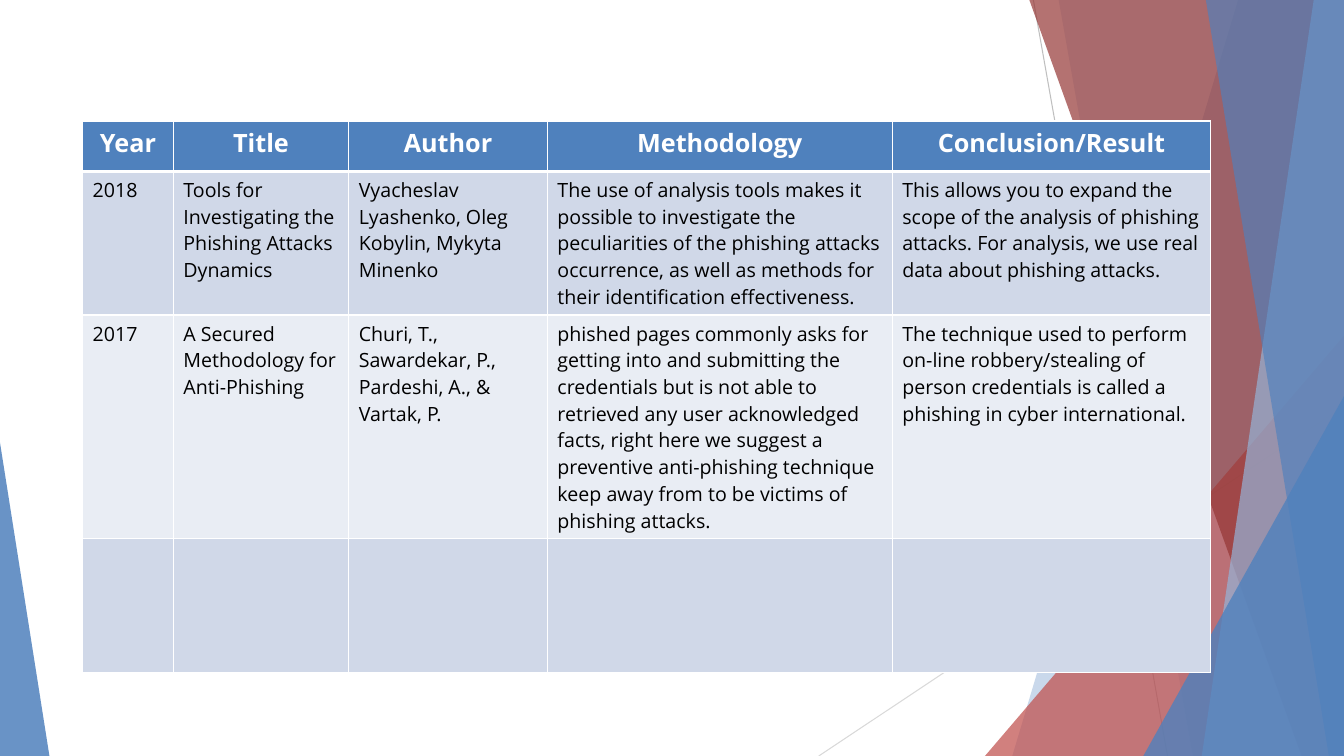
from lxml.etree import SubElement
from pptx import Presentation
from pptx.dml.color import RGBColor
from pptx.enum.shapes import MSO_CONNECTOR as Connector, MSO_SHAPE as Preset
from pptx.enum.text import PP_ALIGN as Align
from pptx.oxml.ns import qn
from pptx.util import Inches, Pt

WIDTH, HEIGHT = Inches(13.33), Inches(7.5)
FONT = "Open Sans"
COLORS = {
    "white": "FFFFFF", "black": "000000", "blue": "4F81BD", "light_blue": "95B3D7",
    "red": "C0504D", "dark_red": "953735", "gray": "BFBFBF", "pale_gray": "D9D9D9",
    "odd_row": "D0D8E8", "even_row": "E9EDF4",
}

# Column widths and row heights, in percent of the slide
COLUMNS = [6.75, 13.05, 14.78, 25.66, 23.71]
ROWS = [6.67, 18.93, 29.6, 17.73]
PAPERS = [
    ["Year", "Title", "Author", "Methodology", "Conclusion/Result"],
    ["2018",
     "Tools for Investigating the Phishing Attacks Dynamics",
     "Vyacheslav Lyashenko, Oleg Kobylin, Mykyta Minenko",
     "The use of analysis tools makes it possible to investigate the peculiarities "
     "of the phishing attacks occurrence, as well as methods for their "
     "identification effectiveness.\u00a0",
     "This allows you to expand the scope of the analysis of phishing attacks. "
     "For analysis, we use real data about phishing attacks."],
    ["2017",
     "A Secured Methodology for Anti-Phishing",
     "Churi, T., Sawardekar, P., Pardeshi, A., & Vartak, P.",
     "phished pages commonly asks for getting into and submitting the credentials "
     "but is not able to retrieved any user acknowledged facts, right here we "
     "suggest a preventive anti-phishing technique keep away from to be victims "
     "of phishing attacks.",
     "The technique used to perform on-line robbery/stealing of person credentials "
     "is called a phishing in cyber international."],
    [""] * 5,
]


def across(percent):
    """Length as a percentage of the slide width."""
    return round(WIDTH * percent / 100)


def down(percent):
    """Length as a percentage of the slide height."""
    return round(HEIGHT * percent / 100)


def color(name):
    """Named colour as an RGBColor."""
    return RGBColor.from_string(COLORS[name])


def add_line(slide, start, end, color_name):
    """Thin straight line between two points given in percent."""
    line = slide.shapes.add_connector(
        Connector.STRAIGHT, across(start[0]), down(start[1]), across(end[0]), down(end[1]))
    line.line.color.rgb = color(color_name)
    line.line.width = Pt(0.75)
    SubElement(line._element.spPr, qn("a:effectLst"))


def paint(shape, color_name, opacity):
    """Translucent fill without outline or shadow."""
    shape.shadow.inherit = False
    shape.line.fill.background()
    shape.fill.solid()
    shape.fill.fore_color.rgb = color(color_name)
    fill_color = shape._element.spPr.find(qn("a:solidFill"))[0]
    SubElement(fill_color, qn("a:alpha"), val=str(opacity * 1000))


def add_band(slide, top_left, bottom_left, color_name, opacity):
    """Full-height band from a slanted left edge to the slide's right edge."""
    outline = slide.shapes.build_freeform(across(top_left), 0)
    outline.add_line_segments(
        [(WIDTH, 0), (WIDTH, HEIGHT), (across(bottom_left), HEIGHT)], close=True)
    paint(outline.convert_to_shape(), color_name, opacity)


def add_corner(slide, left, top, width, apex, color_name, opacity):
    """Right triangle standing on the bottom edge of the slide."""
    triangle = slide.shapes.add_shape(
        Preset.ISOSCELES_TRIANGLE, across(left), down(top), across(width), down(100 - top))
    triangle.adjustments[0] = apex
    paint(triangle, color_name, opacity)


def add_backdrop(slide):
    """Lines, slanted bands and corner triangles behind the table."""
    add_line(slide, (76.89, 0), (86.87, 100), "gray")
    add_line(slide, (100, 53.73), (60.92, 100), "pale_gray")
    add_band(slide, 92.12, 75.32, "blue", 30)
    add_band(slide, 78.77, 88.75, "blue", 20)
    add_corner(slide, 73.29, 44.4, 26.71, 1, "red", 72)
    add_band(slide, 76.59, 96.85, "dark_red", 70)
    add_band(slide, 97.75, 89.42, "light_blue", 70)
    add_band(slide, 89.72, 98.87, "blue", 65)
    add_corner(slide, 85.07, 52.4, 14.93, 1, "blue", 80)
    add_corner(slide, 0, 58.53, 3.68, 0, "blue", 85)


def set_borders(cell, top, bottom):
    """White borders, one point wide at the sides."""
    properties = cell._tc.get_or_add_tcPr()
    for side, points in (("L", 1), ("R", 1), ("T", top), ("B", bottom)):
        border = SubElement(properties, qn(f"a:ln{side}"), w=str(Pt(points)))
        fill = SubElement(border, qn("a:solidFill"))
        SubElement(fill, qn("a:srgbClr"), val=COLORS["white"])


def fill_cell(cell, text, row):
    """Borders, fill and text of one cell; row 0 is the header."""
    header = row == 0
    set_borders(cell, top=3 if row == 1 else 1, bottom=3 if header else 1)
    cell.fill.solid()
    cell.fill.fore_color.rgb = color(
        "blue" if header else "odd_row" if row % 2 else "even_row")
    if not text:
        return
    paragraph = cell.text_frame.paragraphs[0]
    paragraph.alignment = Align.CENTER if header else Align.LEFT
    run = paragraph.add_run()
    run.text = text
    run.font.name = FONT
    run.font.size = Pt(18 if header else 14)
    run.font.bold = header
    run.font.color.rgb = color("white" if header else "black")


def add_papers_table(slide):
    """Literature table with one paper per row."""
    table = slide.shapes.add_table(
        len(ROWS), len(COLUMNS), across(6.15), down(16),
        across(sum(COLUMNS)), down(sum(ROWS))).table
    for column, width in zip(table.columns, COLUMNS):
        column.width = across(width)
    for row, height in zip(table.rows, ROWS):
        row.height = down(height)
    for row, paper in enumerate(PAPERS):
        for column, text in enumerate(paper):
            fill_cell(table.cell(row, column), text, row)


def main():
    """Build and save the slide."""
    presentation = Presentation()
    presentation.slide_width, presentation.slide_height = WIDTH, HEIGHT
    slide = presentation.slides.add_slide(presentation.slide_layouts[6])
    add_backdrop(slide)
    add_papers_table(slide)
    presentation.save("out.pptx")


main()
